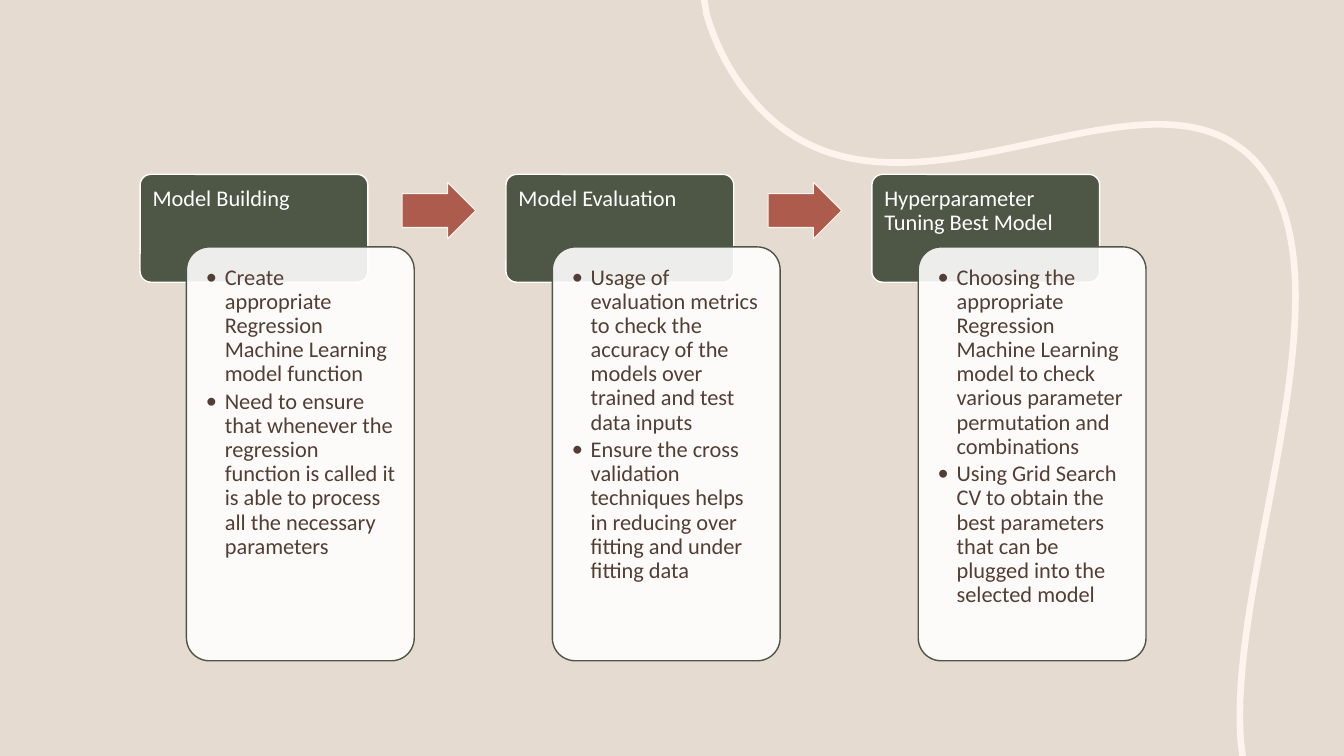
"""Build a slide with three modelling steps joined by arrows."""
from pptx import Presentation
from pptx.dml.color import RGBColor
from pptx.enum.shapes import MSO_SHAPE
from pptx.enum.text import MSO_ANCHOR, PP_ALIGN
from pptx.oxml.ns import qn
from pptx.util import Pt
from lxml.etree import SubElement

STEPS = [
    ("Model Building", [
        "Create appropriate Regression Machine Learning model function",
        "Need to ensure that whenever the regression function is called it "
        "is able to process all the necessary parameters"]),
    ("Model Evaluation", [
        "Usage of evaluation metrics to check the accuracy of the models "
        "over trained and test data inputs",
        "Ensure the cross validation techniques helps in reducing over "
        "fitting and under fitting data"]),
    ("Hyperparameter Tuning Best Model", [
        "Choosing the appropriate Regression Machine Learning model to check "
        "various parameter permutation and combinations",
        "Using Grid Search CV to obtain the best parameters that can be "
        "plugged into the selected model"]),
]
COLORS = {"sand": "E6DBD0", "cream": "FEF3ED", "green": "4E5745",
          "white": "FFFFFF", "brown": "543E34", "rust": "AC5B4C"}
BOUNDS = (502.56, -2.16, 925.2, 541.44)
CURVE = [
    ("moveTo", [(887.76, 541.44)]),
    ("lnTo", [(886.32, 529.92)]),
    ("cubicBezTo", [(876.96, 408.96), (969.12, 200.16), (898.56, 117.36)]),
    ("cubicBezTo", [(820.8, 27.36), (635.04, 190.08), (536.4, 69.84)]),
    ("cubicBezTo", [(530.64, 63.36), (514.08, 42.48), (504.72, 10.08)]),
    ("cubicBezTo", [(504, 5.04), (502.56, -2.16), (502.56, -2.16)]),
]
STEP = 261.36
HEAD = (100.08, 124.56, 162.72, 77.04)
LABEL = (100.08, 124.56, 162.72, 51.84)
CARD = (133.2, 176.4, 162.72, 295.6)
LIST = (138.24, 180.9, 153.36, 286.56)
ARROW = (287.28, 130.32, 52.56, 40.32)
INSETS = dict.fromkeys(
    ["margin_left", "margin_top", "margin_right", "margin_bottom"], Pt(8.9))
FRAME = INSETS | {"word_wrap": True, "vertical_anchor": MSO_ANCHOR.TOP}
PARA = {"alignment": PP_ALIGN.LEFT, "line_spacing": 0.9}
FONT = {"name": "Calibri", "size": Pt(16)}


def apply(item, form):
    for name, value in form.items():
        setattr(item, name, value)


def hue(name):
    return RGBColor.from_string(COLORS[name])


def place(box, shift):
    left, top, wide, high = box
    return Pt(left + shift), Pt(top), Pt(wide), Pt(high)


def edge(shape, color, width):
    shape.shadow.inherit = False
    shape.line.color.rgb = hue(color)
    shape.line.width = Pt(width)


def block(slide, kind, spot, adjust, fill, line, width):
    shape = slide.shapes.add_shape(kind, *spot)
    for index, value in enumerate(adjust):
        shape.adjustments[index] = value
    shape.fill.solid()
    shape.fill.fore_color.rgb = hue(fill)
    edge(shape, line, width)
    return shape


def write(slide, spot, lines, color, after, form):
    frame = slide.shapes.add_textbox(*spot).text_frame
    apply(frame, FRAME | form)
    frame.text = "\n".join(lines)
    for para in frame.paragraphs:
        apply(para, PARA | {"space_after": Pt(after)})
        for run in para.runs:
            apply(run.font, FONT)
            run.font.color.rgb = hue(color)
    return frame


def bullet(para):
    para.level = 1
    props = para._p.get_or_add_pPr()
    props.set("marL", str(Pt(13.5)))
    props.set("indent", str(Pt(-13.5)))
    SubElement(props, qn("a:buFont")).set("typeface", "Calibri")
    SubElement(props, qn("a:buChar")).set("char", "•")


def ribbon(slide):
    left, top, right, low = BOUNDS
    build = slide.shapes.build_freeform(Pt(left), Pt(top))
    build.add_line_segments([(Pt(right), Pt(low))], close=False)
    shape = build.convert_to_shape()
    outline = shape._element.spPr.find(".//" + qn("a:path"))
    for part in list(outline):
        outline.remove(part)
    for kind, points in CURVE:
        part = SubElement(outline, qn("a:" + kind))
        for x, y in points:
            dot = SubElement(part, qn("a:pt"))
            dot.set("x", str(Pt(x - left)))
            dot.set("y", str(Pt(y - top)))
    shape.fill.background()
    edge(shape, "cream", 4.75)


def main():
    deck = Presentation()
    deck.slide_width, deck.slide_height = Pt(960), Pt(540)
    slide = deck.slides.add_slide(deck.slide_layouts[6])
    slide.background.fill.solid()
    slide.background.fill.fore_color.rgb = hue("sand")
    ribbon(slide)
    for index, (title, points) in enumerate(STEPS):
        shift = index * STEP
        block(slide, MSO_SHAPE.ROUNDED_RECTANGLE, place(HEAD, shift),
              [0.1], "green", "white", 1)
        write(slide, place(LABEL, shift), [title], "white", 5.6,
              {"margin_bottom": Pt(5)})
        card = block(slide, MSO_SHAPE.ROUNDED_RECTANGLE, place(CARD, shift),
                     [0.1], "white", "green", 1)
        tint = card._element.spPr.find(".//" + qn("a:srgbClr"))
        SubElement(tint, qn("a:alpha")).set("val", "90000")
        frame = write(slide, place(LIST, shift), points, "brown", 2.4, {})
        for para in frame.paragraphs:
            bullet(para)
        if index < len(STEPS) - 1:
            block(slide, MSO_SHAPE.RIGHT_ARROW, place(ARROW, shift),
                  [0.6, 0.5], "rust", "cream", 0.75)
    deck.save("out.pptx")


if __name__ == "__main__":
    main()
